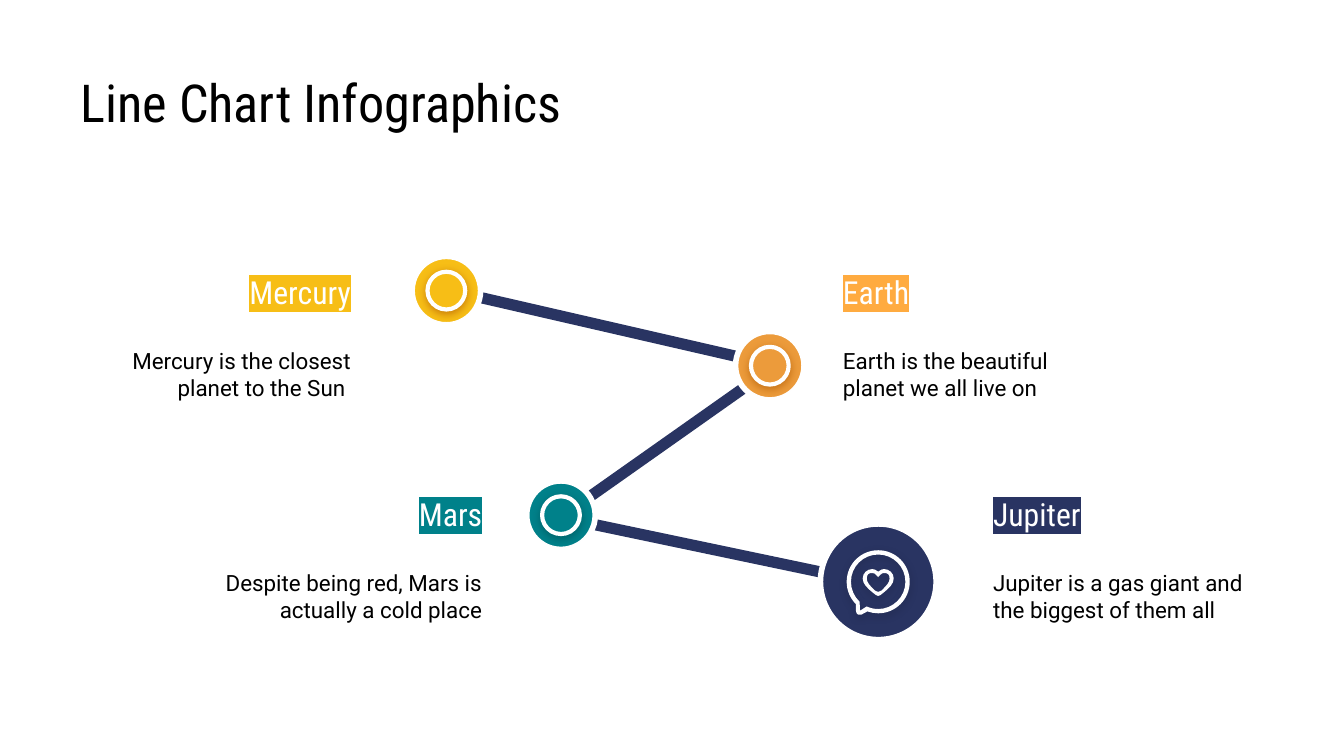
"""Build the slide "Line Chart Infographics" with four planets on a zigzag route."""
from dataclasses import dataclass
from math import cos, radians, sin, tan

from lxml.etree import SubElement
from pptx import Presentation
from pptx.dml.color import RGBColor
from pptx.enum.shapes import MSO_SHAPE as Shape
from pptx.enum.text import MSO_ANCHOR as Anchor, PP_ALIGN as Align
from pptx.oxml.ns import qn
from pptx.util import Pt


@dataclass(frozen=True)
class Theme:
    heading_font: str = "Roboto Condensed"
    body_font: str = "Roboto"
    title_size: float = 28
    name_size: float = 17
    body_size: float = 12
    text: str = "000000"
    white: str = "FFFFFF"
    navy: str = "293462"
    yellow: str = "F7BE16"
    orange: str = "EC9B3B"
    light_orange: str = "FFAB40"
    teal: str = "00818A"
    warm_shadow: str = "B45F06"
    teal_shadow: str = "00565C"


THEME = Theme()
ROUTE = [(239.6, 155.3), (415.6, 195.8), (300.2, 277.2), (475.2, 313.9)]
NODES = [
    (239.1, 155.7, THEME.yellow, THEME.warm_shadow),
    (412.4, 195.9, THEME.orange, THEME.warm_shadow),
    (300.5, 276, THEME.teal, THEME.teal_shadow),
]
LABELS = [
    (524.9, 263.3, Align.LEFT, THEME.navy, "Jupiter", "Jupiter is a gas giant and the biggest of them all"),
    (106.3, 263.3, Align.RIGHT, THEME.teal, "Mars", "Despite being red, Mars is actually a cold place"),
    (36, 144.3, Align.RIGHT, THEME.yellow, "Mercury", "Mercury is the closest planet to the Sun "),
    (444.5, 144.3, Align.LEFT, THEME.light_orange, "Earth", "Earth is the beautiful planet we all live on"),
]
JUPITER = (470.5, 311.7)
OUTER_TAIL = [(-7, 16.5), (-8, 17.1), (-9, 17.6), (-10.2, 18.3), (-11.9, 17.4), (-11.9, 15.5)]
INNER_TAIL = [(-7.2, 13.9), (-8.5, 14.7), (-9.7, 15.5)]
OUTER_HEART = [
    (0, -5.4), (1.4, -6.5), (2.2, -6.8), (3.2, -6.8), (5.8, -6.8), (8.3, -4.7), (8.3, -1.8),
    (8.3, 1.1), (6.1, 3.2), (2.5, 6.1), (1.4, 6.8), (1.1, 7.6), (0, 7.6),
]
INNER_HEART = [
    (0, -2.5), (1.1, -2.9), (1.1, -4.7), (3.2, -4.7), (5, -4.7), (6.1, -4), (6.1, -1.8),
    (6.1, 0.4), (4.7, 1.8), (1.8, 4.7), (1.1, 5), (0.4, 5.4), (0, 5.4),
]


def rgb(color):
    """Return a colour object for a hex string."""
    return RGBColor.from_string(color)


def paint(shape, fill=None, line=None, width=0):
    """Set fill and outline and remove the default shadow."""
    shape.shadow.inherit = False
    for target, color in ((shape.fill, fill), (shape.line.fill, line)):
        if color:
            target.solid()
            target.fore_color.rgb = rgb(color)
        else:
            target.background()
    if line:
        shape.line.width = Pt(width)


def cast_shadow(shape, color, opacity):
    """Add a soft shadow that falls straight down."""
    effects = shape._element.spPr.find(qn("a:effectLst"))
    shadow = SubElement(effects, qn("a:outerShdw"), blurRad=str(Pt(4.5)),
                        dist=str(Pt(1.5)), dir="5400000", algn="bl", rotWithShape="0")
    tone = SubElement(shadow, qn("a:srgbClr"), val=color)
    SubElement(tone, qn("a:alpha"), val=str(opacity * 1000))


def add_disc(shapes, x, y, diameter, color, line_width):
    """Add a white-rimmed disc centred on a point."""
    disc = shapes.add_shape(Shape.OVAL, Pt(x - diameter / 2), Pt(y - diameter / 2),
                            Pt(diameter), Pt(diameter))
    paint(disc, color, THEME.white, line_width)
    return disc


def add_node(slide, x, y, color, shadow):
    """Add a ringed route node."""
    group = slide.shapes.add_group_shape()
    add_disc(group.shapes, x, y, 36.7, color, 3)
    cast_shadow(add_disc(group.shapes, x, y, 20.2, color, 2.25), shadow, 66)


def add_outline(shapes, contours, origin=(0, 0), close=True):
    """Add one freeform made of several contours around an origin."""
    placed = [[(Pt(x + origin[0]), Pt(y + origin[1])) for x, y in contour] for contour in contours]
    builder = shapes.build_freeform(*placed[0][0])
    builder.add_line_segments(placed[0][1:], close=close)
    for contour in placed[1:]:
        builder.move_to(*contour[0])
        builder.add_line_segments(contour[1:], close=close)
    return builder.convert_to_shape()


def curve(shape):
    """Merge every three line segments into one Bezier segment."""
    lines = list(shape._element.iter(qn("a:lnTo")))
    for first, second, third in zip(lines[::3], lines[1::3], lines[2::3]):
        bezier = first.makeelement(qn("a:cubicBezTo"))
        first.addprevious(bezier)
        for line in (first, second, third):
            bezier.append(line[0])
            line.getparent().remove(line)


def bubble(radius, start, end, tail):
    """Return Bezier points for a circle with a speech tail."""
    stops = [start, 180, 270, 360, 450, end]
    points = [(radius * cos(radians(start)), radius * sin(radians(start)))]
    for low, high in zip(stops, stops[1:]):
        a, b = radians(low), radians(high)
        reach = 4 / 3 * tan((b - a) / 4)
        points += [
            (radius * (cos(a) - reach * sin(a)), radius * (sin(a) + reach * cos(a))),
            (radius * (cos(b) + reach * sin(b)), radius * (sin(b) - reach * cos(b))),
            (radius * cos(b), radius * sin(b)),
        ]
    return points + tail


def heart(half):
    """Mirror the Bezier points of the right half."""
    return half + [(-x, y) for x, y in half[-2::-1]]


def add_heart_bubble(slide):
    """Add the speech bubble with a heart."""
    group = slide.shapes.add_group_shape()
    bubbles = [bubble(16.9, 135, 470, OUTER_TAIL), bubble(14.6, 133, 475, INNER_TAIL)]
    hearts = [heart(OUTER_HEART), heart(INNER_HEART)]
    for contours in (bubbles, hearts):
        outline = add_outline(group.shapes, contours, JUPITER)
        curve(outline)
        paint(outline, THEME.white)
        cast_shadow(outline, "000000", 17)


def write(shape, text, font, size, color, align, anchor, highlight=None):
    """Write one formatted run into a shape."""
    frame = shape.text_frame
    frame.word_wrap = True
    frame.vertical_anchor = anchor
    frame.margin_left = frame.margin_right = frame.margin_top = frame.margin_bottom = Pt(7.2)
    paragraph = frame.paragraphs[0]
    paragraph.alignment = align
    run = paragraph.add_run()
    run.text = text
    run.font.size = Pt(size)
    run.font.color.rgb = rgb(color)
    if highlight:
        mark = SubElement(run._r.get_or_add_rPr(), qn("a:highlight"))
        SubElement(mark, qn("a:srgbClr"), val=highlight)
    run.font.name = font


def add_title(slide, text):
    """Place and fill the title placeholder."""
    title = slide.shapes.title
    title.left, title.top, title.width, title.height = Pt(36), Pt(30.2), Pt(648), Pt(45.4)
    write(title, text, THEME.heading_font, THEME.title_size, THEME.text, Align.LEFT, Anchor.TOP)


def add_label(slide, left, top, align, color, name, description):
    """Add a highlighted planet name with its description below."""
    box = slide.shapes.add_textbox(Pt(left), Pt(top), Pt(159.1), Pt(23.8))
    write(box, name, THEME.heading_font, THEME.name_size, THEME.white, align, Anchor.MIDDLE, color)
    box = slide.shapes.add_textbox(Pt(left), Pt(top + 36.2), Pt(159.1), Pt(39.6))
    write(box, description, THEME.body_font, THEME.body_size, THEME.text, align, Anchor.MIDDLE)


def main():
    """Build and save the presentation."""
    presentation = Presentation()
    presentation.slide_width, presentation.slide_height = Pt(720), Pt(405)
    slide = presentation.slides.add_slide(presentation.slide_layouts[5])
    paint(add_outline(slide.shapes, [ROUTE], close=False), line=THEME.navy, width=6)
    add_title(slide, "Line Chart Infographics")
    for node in NODES:
        add_node(slide, *node)
    add_disc(slide.shapes, *JUPITER, 62, THEME.navy, 3)
    add_heart_bubble(slide)
    for label in LABELS:
        add_label(slide, *label)
    presentation.save("out.pptx")


if __name__ == "__main__":
    main()
